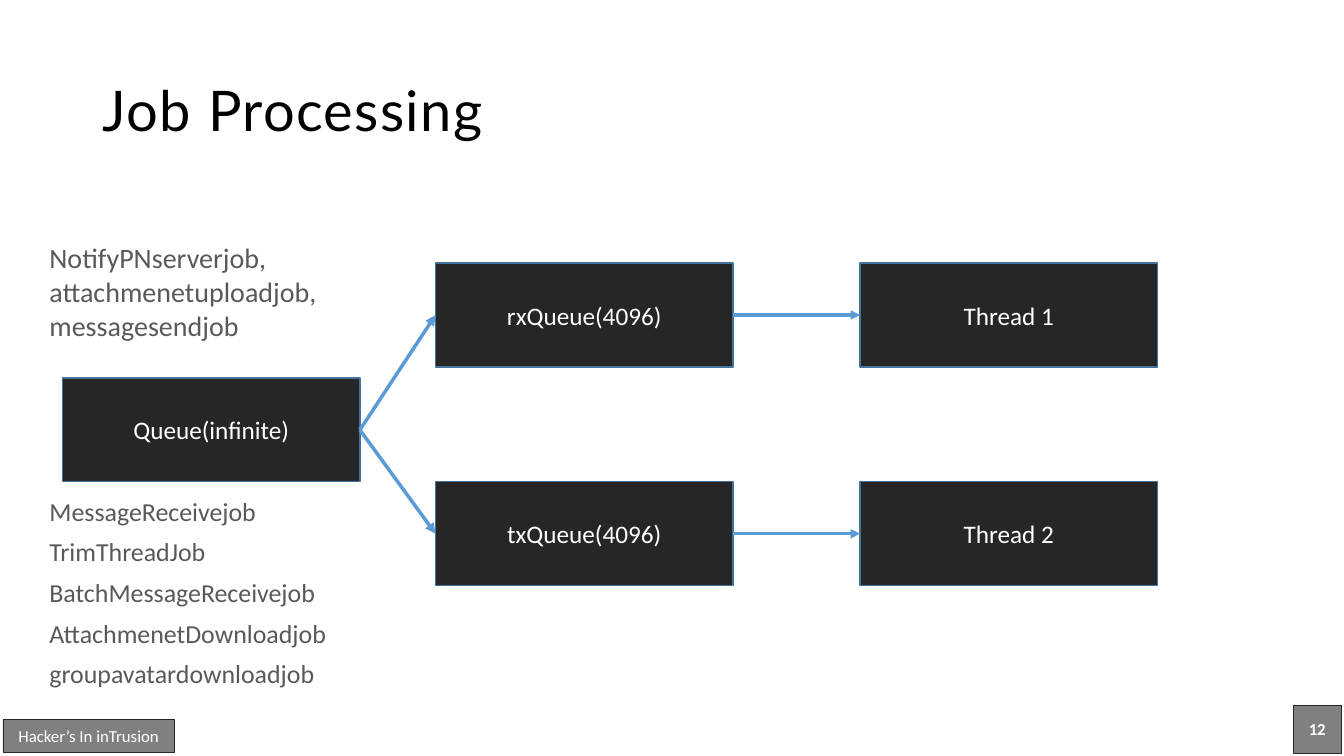
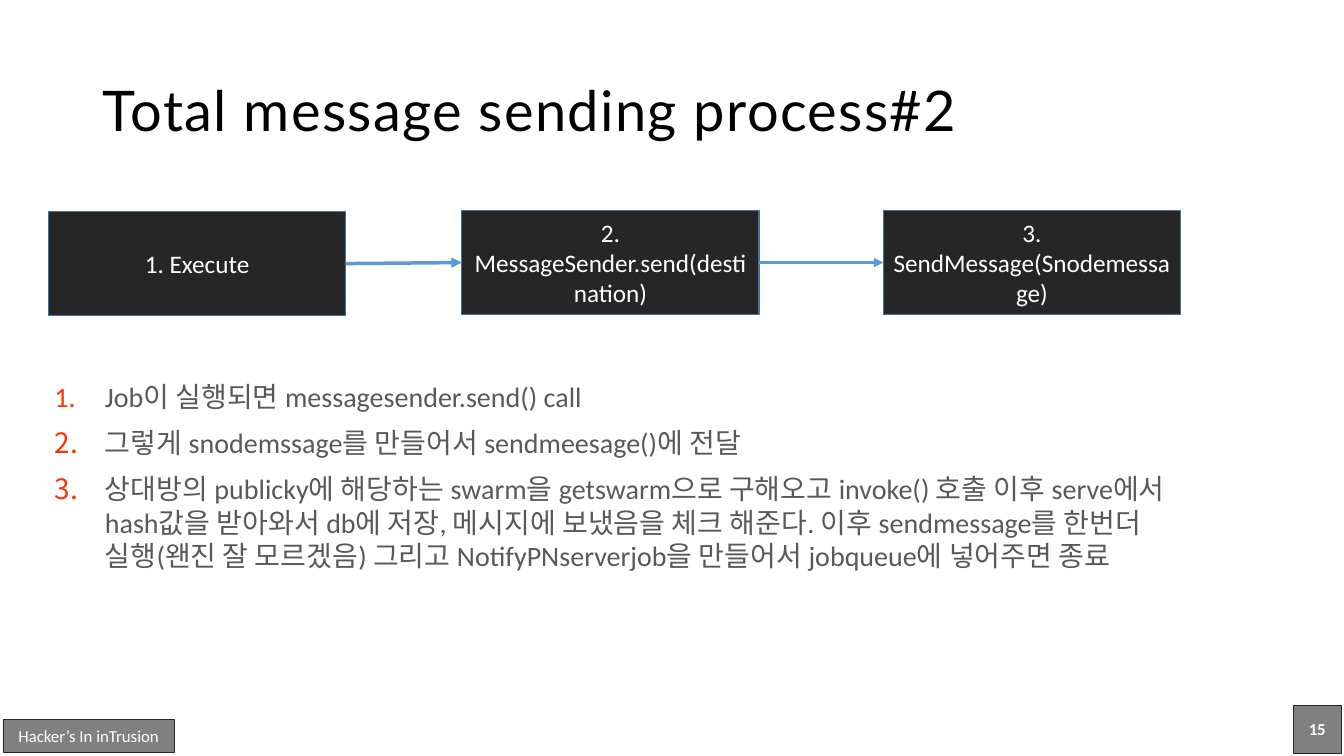
from lxml import etree
from pptx import Presentation
from pptx import util as u
from pptx.dml.color import RGBColor
from pptx.enum import shapes, text
from pptx.oxml.ns import qn

PX = 9144  # 100 px to the inch
COLORS = {
    "title": "000000",
    "body": "595959",
    "number": "FF3300",
    "white": "FFFFFF",
    "box": "262626",
    "box_line": "43739E",
    "arrow": "5B9BD5",
    "band": "808080",
    "band_line": "262626",
}
BOX_WIDTH, BOX_HEIGHT = 295, 103
RIGHT_SIDE, LEFT_SIDE = 3, 1  # connection sites of a rectangle

# Content: boxes are name -> (left, top, label); lists are (bounds, format, lines)
SLIDES = [
    {
        "title": "Job Processing",
        "number": "12",
        "layout": 3,
        "boxes": {
            "queue": (62, 375, "Queue(infinite)"),
            "rx": (432, 261, "rxQueue(4096)"),
            "tx": (432, 478, "txQueue(4096)"),
            "thread 1": (853, 261, "Thread 1"),
            "thread 2": (853, 478, "Thread 2"),
        },
        "arrows": [("queue", "rx", 2.5), ("queue", "tx", 2.5),
                   ("rx", "thread 1", 2.25), ("tx", "thread 2", 2.25)],
        "lists": [
            ((39, 234, 312, 124), {"size": 20},
             ["NotifyPNserverjob, attachmenetuploadjob, messagesendjob"]),
            ((39, 490, 441, 210), {"size": 18.5, "line_spacing": 0.9},
             ["MessageReceivejob", "TrimThreadJob", "BatchMessageReceivejob",
              "AttachmenetDownloadjob", "groupavatardownloadjob"]),
        ],
    },
    {
        "title": "Total message sending process#2",
        "number": "15",
        "layout": 1,
        "boxes": {
            "execute": (48, 210, "1. Execute"),
            "sender": (458, 209, "2. MessageSender.send(destination)"),
            "message": (876, 209, "3. SendMessage(Snodemessage)"),
        },
        "arrows": [("execute", "sender", 2.5), ("sender", "message", 2.25)],
        "lists": [
            ((44, 371, 1122, 260), {"size": 20, "numbered": True},
             ["Job이 실행되면 messagesender.send() call",
              "그렇게 snodemssage를 만들어서 sendmeesage()에 전달",
              "상대방의 publicky에 해당하는 swarm을 getswarm으로 구해오고 invoke() "
              "호출 이후 serve에서 hash값을 받아와서 db에 저장, 메시지에 보냈음을 체크 "
              "해준다. 이후 sendmessage를 한번더 실행(왠진 잘 모르겠음) 그리고 "
              "NotifyPNserverjob을 만들어서 jobqueue에 넣어주면 종료"]),
        ],
    },
]


def write_text(shape, lines, size, color, font="Calibri", bold=False, align="LEFT",
               anchor="MIDDLE", line_spacing=1.0, space_after=0, letter_spacing=0,
               numbered=False):
    frame = shape.text_frame
    frame.word_wrap = True
    frame.auto_size = text.MSO_AUTO_SIZE.NONE
    frame.vertical_anchor = text.MSO_ANCHOR[anchor]
    for index, line in enumerate(lines):
        paragraph = frame.add_paragraph() if index else frame.paragraphs[0]
        paragraph.alignment = text.PP_ALIGN[align]
        paragraph.line_spacing = line_spacing
        paragraph.space_before = u.Pt(0)
        paragraph.space_after = u.Pt(space_after)
        run = paragraph.add_run()
        run.text = line
        run.font.name = font
        run.font.size = u.Pt(size)
        run.font.bold = bold
        run.font.color.rgb = RGBColor.from_string(COLORS[color])
        if letter_spacing:
            run.font._element.set("spc", str(letter_spacing * 100))
        # Numbers hang to the left of the text; other lines have no bullet
        properties = paragraph._p.get_or_add_pPr()
        indent = 50 * PX if numbered else 0
        properties.set("marL", str(indent))
        properties.set("indent", str(-indent))
        if numbered:
            bullet_color = etree.SubElement(properties, qn("a:buClr"))
            etree.SubElement(bullet_color, qn("a:srgbClr"), val=COLORS["number"])
            etree.SubElement(properties, qn("a:buFont"), typeface=font)
            etree.SubElement(properties, qn("a:buAutoNum"), type="arabicPeriod")
        else:
            etree.SubElement(properties, qn("a:buNone"))


def add_box(slide, bounds, label, fill, line, line_width, **text_format):
    shape = slide.shapes.add_shape(shapes.MSO_SHAPE.RECTANGLE, *(v * PX for v in bounds))
    shape.shadow.inherit = False
    shape.fill.solid()
    shape.fill.fore_color.rgb = RGBColor.from_string(COLORS[fill])
    shape.line.color.rgb = RGBColor.from_string(COLORS[line])
    shape.line.width = u.Pt(line_width)
    write_text(shape, [label], color="white", align="CENTER", **text_format)
    return shape


presentation = Presentation()
presentation.slide_width = 1333 * PX
presentation.slide_height = 750 * PX

for content in SLIDES:
    slide = presentation.slides.add_slide(presentation.slide_layouts[content["layout"]])

    # Title
    title = slide.shapes.title
    title.left, title.top, title.width, title.height = (
        v * PX for v in (92, 40, 1150, 145))
    write_text(title, [content["title"]], size=40, color="title", font="Lato",
               line_spacing=0.9, letter_spacing=1)

    # Page number and footer
    add_box(slide, (1283, 700, 47, 47), content["number"], "band", "band_line", 0.5,
            size=12, bold=True)
    add_box(slide, (3, 714, 170, 32), "Hacker’s In inTrusion", "band", "band_line", 0.5,
            size=12)

    # Flow boxes
    boxes = {
        name: add_box(slide, (left, top, BOX_WIDTH, BOX_HEIGHT), label,
                      "box", "box_line", 1, size=18)
        for name, (left, top, label) in content["boxes"].items()
    }

    # Arrows from box to box
    for source, target, width in content["arrows"]:
        arrow = slide.shapes.add_connector(shapes.MSO_CONNECTOR.STRAIGHT, 0, 0, 0, 0)
        arrow.begin_connect(boxes[source], RIGHT_SIDE)
        arrow.end_connect(boxes[target], LEFT_SIDE)
        arrow.line.color.rgb = RGBColor.from_string(COLORS["arrow"])
        arrow.line.width = u.Pt(width)
        etree.SubElement(arrow.line._get_or_add_ln(), qn("a:tailEnd"), type="triangle")
        etree.SubElement(arrow._element.spPr, qn("a:effectLst"))

    # Lists in the body placeholders
    bodies = [p for p in slide.placeholders if p.placeholder_format.idx in (1, 2)]
    for body, (bounds, list_format, lines) in zip(bodies, content["lists"]):
        body.left, body.top, body.width, body.height = (v * PX for v in bounds)
        write_text(body, lines, color="body", anchor="TOP", space_after=9, **list_format)

presentation.save("out.pptx")
